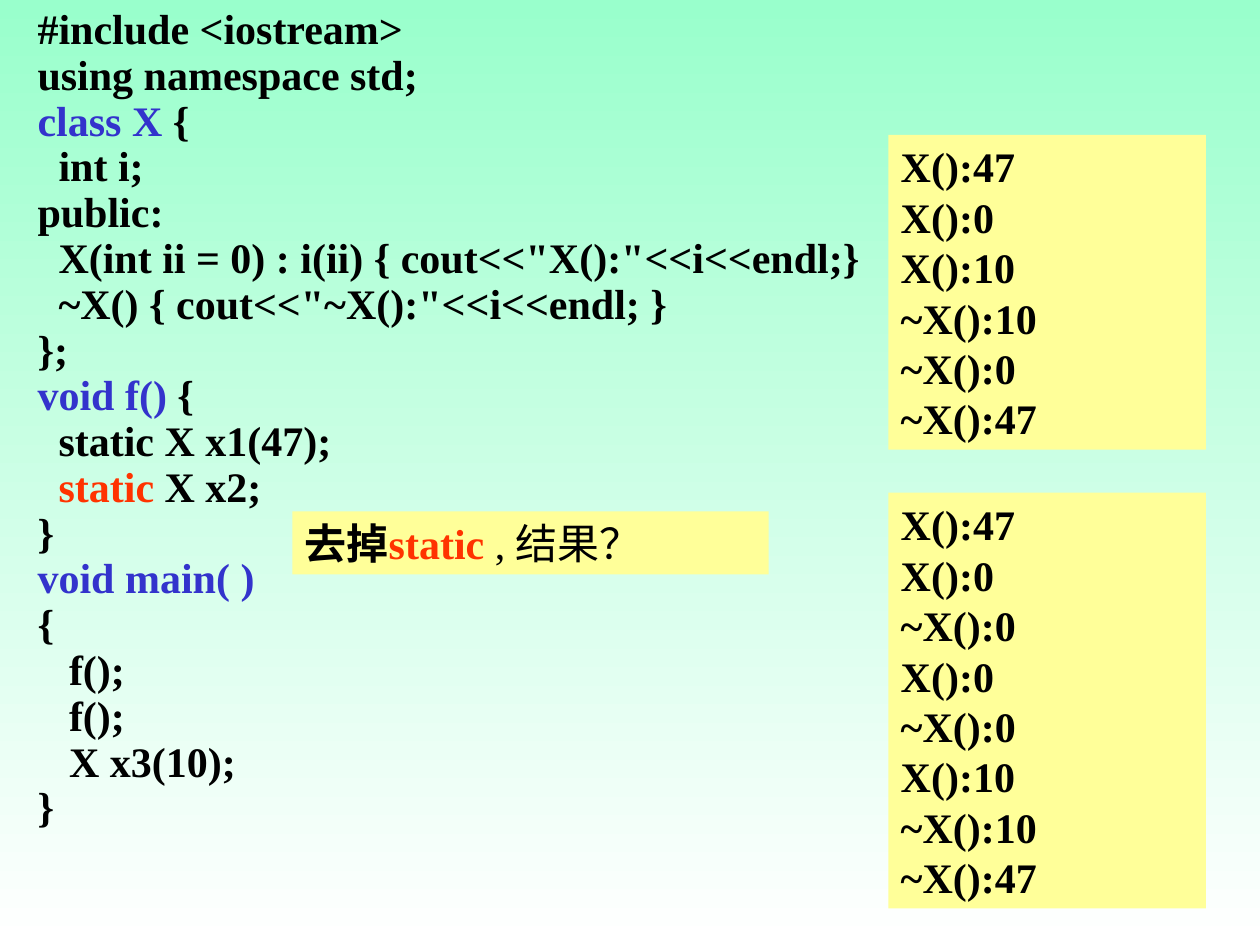
from pptx import Presentation
from pptx.dml.color import RGBColor
from pptx.enum.shapes import MSO_SHAPE as Shape
from pptx.enum.text import MSO_ANCHOR as Anchor, PP_ALIGN as Align
from pptx.util import Inches, Pt

BLACK, BLUE, RED, YELLOW = "000000", "3333CC", "FF3300", "FFFF99"


def tint(color, hue):
    color.rgb = RGBColor.from_string(hue)


def write(frame, lines, pitch, gap=0):
    """Fill a frame; each line is a string or a list of (text, hue, bold) runs."""
    frame.word_wrap = True
    frame.vertical_anchor = Anchor.TOP
    for n, line in enumerate(lines):
        para = frame.add_paragraph() if n else frame.paragraphs[0]
        para.alignment = Align.LEFT
        para.line_spacing = pitch
        para.space_before = Pt(gap if n else 0)
        para.font.name = "Times New Roman"
        para.font.size = Pt(24)
        runs = [(line, BLACK, True)] if isinstance(line, str) else line
        for text, hue, bold in runs:
            run = para.add_run()
            run.text = text
            run.font.bold = bold
            tint(run.font.color, hue)


deck = Presentation()
deck.slide_width, deck.slide_height = Inches(10), Inches(7.5)
slide = deck.slides.add_slide(deck.slide_layouts[6])

fill = slide.background.fill
fill.gradient()
fill.gradient_angle = 270
for stop, hue in zip(fill.gradient_stops, ("99FFCC", "FFFFFF")):
    tint(stop.color, hue)

code = [
    "#include <iostream>",
    "using namespace std;",
    [("class X", BLUE, True), (" {", BLACK, True)],
    "  int i;",
    "public:",
    '  X(int ii = 0) : i(ii) { cout<<"X():"<<i<<endl;}',
    '  ~X() { cout<<"~X():"<<i<<endl; }',
    "};",
    [("void f()", BLUE, True), (" {", BLACK, True)],
    "  static X x1(47);",
    [("  ", BLACK, True), ("static", RED, True), (" X x2;", BLACK, True)],
    "}",
    [("void main( )", BLUE, True)],
    "{",
    "   f();",
    "   f();",
    "   X x3(10);",
    "}",
]
box = slide.shapes.add_textbox(Inches(0.2), Inches(0.08), Inches(9.37), Inches(7.22))
write(box.text_frame, code, 0.7, 6)

first = ["X():47", "X():0", "X():10", "~X():10", "~X():0", "~X():47"]
ask = [[("去掉", BLACK, True), ("static", RED, True), (" , 结果？", BLACK, False)]]
second = ["X():47", "X():0", "~X():0", "X():0", "~X():0", "X():10", "~X():10", "~X():47"]
notes = [
    (7.05, 1.07, 2.52, 2.5, first),
    (2.32, 4.06, 3.78, 0.5, ask),
    (7.05, 3.91, 2.52, 3.3, second),
]
for left, top, width, height, lines in notes:
    note = slide.shapes.add_shape(
        Shape.RECTANGLE, Inches(left), Inches(top), Inches(width), Inches(height))
    note.shadow.inherit = False
    note.fill.solid()
    tint(note.fill.fore_color, YELLOW)
    note.line.fill.background()
    write(note.text_frame, lines, 1.0)

deck.save("out.pptx")
